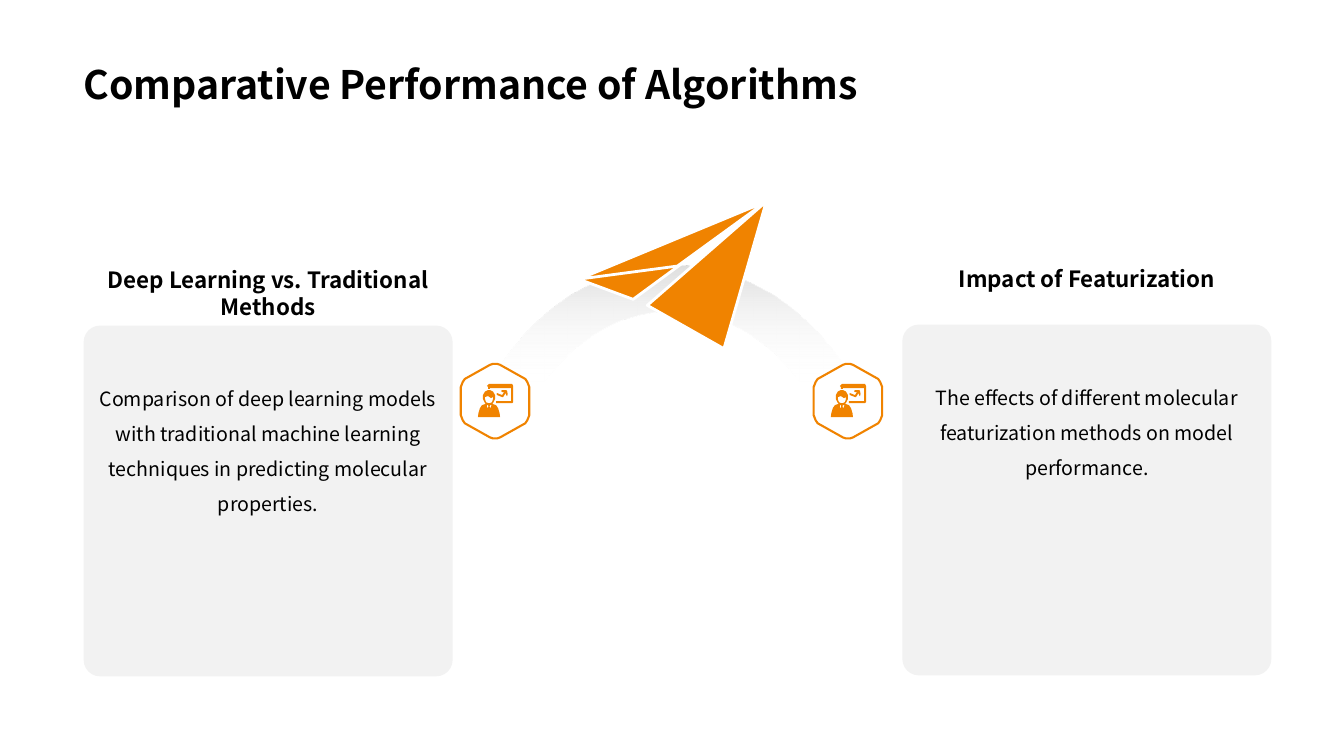
from dataclasses import dataclass

from lxml import etree
from pptx import Presentation
from pptx.dml.color import RGBColor
from pptx.enum.shapes import MSO_SHAPE
from pptx.enum.text import MSO_ANCHOR, PP_ALIGN
from pptx.oxml.ns import qn
from pptx.util import Inches, Pt

ROUNDED = MSO_SHAPE.ROUNDED_RECTANGLE
TOP, BOTTOM = MSO_ANCHOR.TOP, MSO_ANCHOR.BOTTOM
LEFT, CENTER = PP_ALIGN.LEFT, PP_ALIGN.CENTER


@dataclass(frozen=True)
class Theme:
    """Colours, font and type sizes of the slide."""
    orange: RGBColor = RGBColor(0xF0, 0x83, 0x00)
    white: RGBColor = RGBColor(0xFF, 0xFF, 0xFF)
    black: RGBColor = RGBColor(0x00, 0x00, 0x00)
    panel: RGBColor = RGBColor(0xF2, 0xF2, 0xF2)
    arc: RGBColor = RGBColor(0xD9, 0xD9, 0xD9)
    font: str = "Noto Sans CJK SC"
    title: int = 28
    heading: int = 16
    body: int = 14


THEME = Theme()
SLIDE_WIDTH = 13.33
COLUMN_WIDTH = 3.66

PLANE_PARTS = [
    [(5.74, 2.77), (6.28, 2.97), (7.6, 2)],
    [(6.42, 3.03), (7.18, 3.46), (7.6, 2)],
    [(5.74, 2.77), (6.72, 2.64), (7.6, 2)],
]
HEXAGON_QUARTER = [(0, -0.37), (0.02, -0.37), (0.05, -0.36),
                   (0.3, -0.22), (0.32, -0.19), (0.34, -0.14)]
PRESENTER = [(10, 6), (12, 6), (15, 7.5), (17, 11), (17, 15), (16, 17), (15, 19),
             (14, 19.5), (15, 20), (18, 21), (20, 24), (21.5, 29), (22, 33),
             (0, 33), (0.5, 29), (2, 24), (4, 21), (7, 20), (8, 19.5), (7, 19),
             (6, 17), (5, 15), (5, 11), (7, 7.5)]
FACE = [(7, 13), (10, 12), (13, 14), (15, 13), (15, 15), (14, 18), (12, 19),
        (10, 19), (8, 18), (7, 15)]
COLLAR_LEFT = [(9, 21), (9, 23), (10, 24), (10.4, 22), (10, 21)]
COLLAR_RIGHT = [(12, 21), (11.6, 22), (12, 24), (13, 23), (13.5, 21)]
TREND_ARROW = [(28, 6), (29, 7), (29.5, 10), (29, 12), (28, 11), (27.5, 9), (25, 13),
               (24, 13), (19, 11), (18.5, 10), (19, 9), (24, 11), (26, 8), (24, 8),
               (23, 7), (24, 6)]
BOARD = [(11, 0), (34, 0), (35, 2), (35, 18), (34, 19), (18, 19), (18, 17), (33, 17),
         (33, 4), (12, 4), (12, 5), (10, 5), (10, 3), (9, 2)]
ICON_CONTOURS = [PRESENTER, FACE, COLLAR_LEFT, COLLAR_RIGHT, TREND_ARROW, BOARD]


def bezier(start, control1, control2, end, steps=24):
    """Return points along a cubic curve."""
    points = []
    for step in range(steps + 1):
        t = step / steps
        weights = ((1 - t) ** 3, 3 * t * (1 - t) ** 2, 3 * t * t * (1 - t), t ** 3)
        corners = (start, control1, control2, end)
        points.append(tuple(sum(w * c[axis] for w, c in zip(weights, corners))
                            for axis in (0, 1)))
    return points


def add_outline(slide, contours, fill=None, line=None, width=0):
    """Draw closed contours, given in inches, as one freeform."""
    builder = None
    for contour in contours:
        (x, y), *rest = [(Inches(x), Inches(y)) for x, y in contour]
        if builder is None:
            builder = slide.shapes.build_freeform(x, y)
        else:
            builder.move_to(x, y)
        builder.add_line_segments(rest, close=True)
    shape = builder.convert_to_shape()
    shape.shadow.inherit = False
    if fill is not None:
        shape.fill.solid()
        shape.fill.fore_color.rgb = fill
    if line is None:
        shape.line.fill.background()
    else:
        shape.line.color.rgb = line
        shape.line.width = Pt(width)
    return shape


def add_arc(slide):
    """Draw the arch that fades out towards its feet."""
    right = bezier((6.67, 2.64), (7.8, 2.64), (8.73, 3.69), (8.84, 5.04))
    right += [(8.85, 5.32), (8.4, 5.32)]
    right += bezier((8.36, 4.87), (8.2, 3.85), (7.5, 3.09), (6.67, 3.09))
    left = [(SLIDE_WIDTH - x, y) for x, y in reversed(right)]
    shape = add_outline(slide, [right + left])
    shape.fill.gradient()
    shape.fill.gradient_angle = 90
    stops = ((0.57, THEME.white, 0), (1, THEME.arc, 85))
    for stop, (position, color, opacity) in zip(shape.fill.gradient_stops, stops):
        stop.position = position
        stop.color.rgb = color
    for element, (_, _, opacity) in zip(shape.element.iter(qn("a:srgbClr")), stops):
        etree.SubElement(element, qn("a:alpha"), val=str(opacity * 1000))


def add_badge(slide, center_x, center_y):
    """Draw a hexagon with the presenter icon inside."""
    right = HEXAGON_QUARTER + [(x, -y) for x, y in reversed(HEXAGON_QUARTER)]
    hexagon = right + [(-x, y) for x, y in reversed(right)]
    add_outline(slide, [[(center_x + x, center_y + y) for x, y in hexagon]],
                THEME.white, THEME.orange, 1.5)
    icon_left, icon_top = center_x - 0.17, center_y - 0.17
    add_outline(slide, [[(icon_left + x / 100, icon_top + y / 100) for x, y in contour]
                        for contour in ICON_CONTOURS], THEME.orange)


def set_text(shape, text, size, bold=False, align=CENTER, anchor=TOP, spacing=1.0):
    """Put one formatted paragraph in a shape."""
    frame = shape.text_frame
    frame.word_wrap = True
    frame.vertical_anchor = anchor
    paragraph = frame.paragraphs[0]
    paragraph.text = text
    paragraph.alignment = align
    paragraph.line_spacing = spacing
    paragraph.font.name = THEME.font
    paragraph.font.size = Pt(size)
    paragraph.font.bold = bold
    paragraph.font.color.rgb = THEME.black


def add_text(slide, box, text, size, **style):
    """Add a bold text box."""
    shape = slide.shapes.add_textbox(*map(Inches, box))
    set_text(shape, text, size, bold=True, **style)


def add_column(slide, left, top, heading, body):
    """Add a heading above a rounded panel with its description."""
    add_text(slide, (left, top, COLUMN_WIDTH, 0.37), heading, THEME.heading)
    panel = slide.shapes.add_shape(
        ROUNDED, *map(Inches, (left, top + 0.64, COLUMN_WIDTH, 3.48)))
    panel.adjustments[0] = 0.047
    panel.shadow.inherit = False
    panel.fill.solid()
    panel.fill.fore_color.rgb = THEME.panel
    panel.line.fill.background()
    panel.text_frame.margin_top = Inches(0.44)
    set_text(panel, body, THEME.body, spacing=1.5)


def main():
    """Build the slide and save it."""
    presentation = Presentation()
    presentation.slide_width = Inches(SLIDE_WIDTH)
    presentation.slide_height = Inches(7.5)
    slide = presentation.slides.add_slide(presentation.slide_layouts[6])
    add_arc(slide)
    for center_x in (4.91, 8.41):
        add_badge(slide, center_x, 3.98)
    add_column(slide, 0.83, 2.59, "Deep Learning vs. Traditional Methods",
               "Comparison of deep learning models with traditional machine learning "
               "techniques in predicting molecular properties.")
    for part in PLANE_PARTS:
        add_outline(slide, [part], THEME.orange, THEME.white, 2)
    add_text(slide, (0.73, 0, 11.87, 1.12), "Comparative Performance of Algorithms",
             THEME.title, align=LEFT, anchor=BOTTOM, spacing=0.9)
    add_column(slide, 8.95, 2.58, "Impact of Featurization",
               "The effects of different molecular featurization methods on model "
               "performance.")
    presentation.save("out.pptx")


if __name__ == "__main__":
    main()
